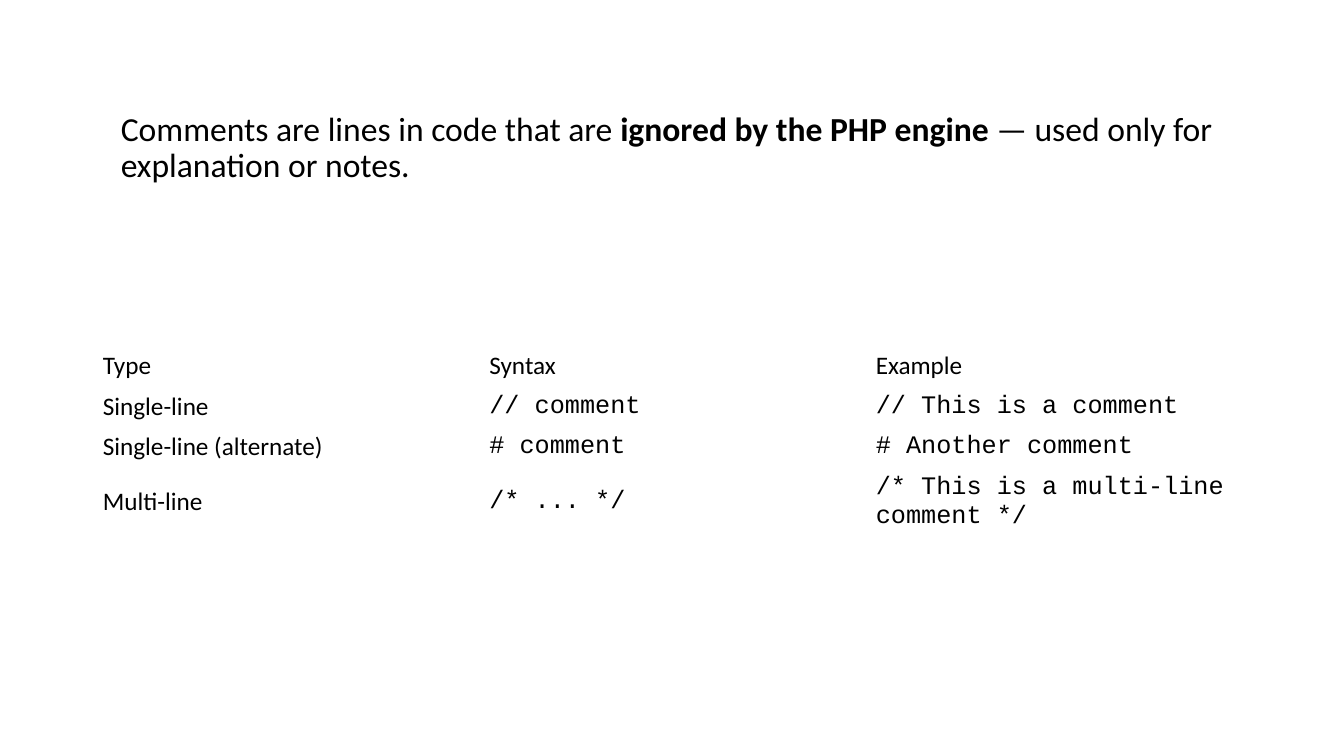
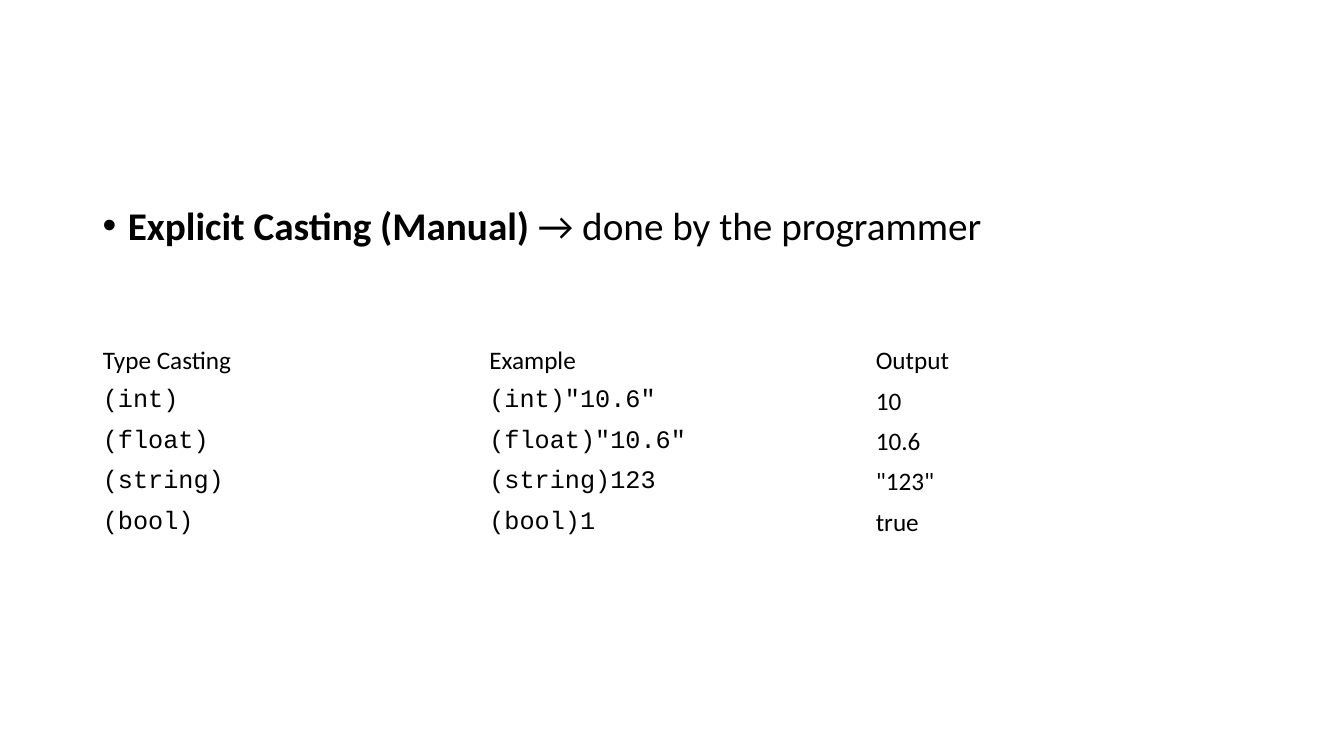
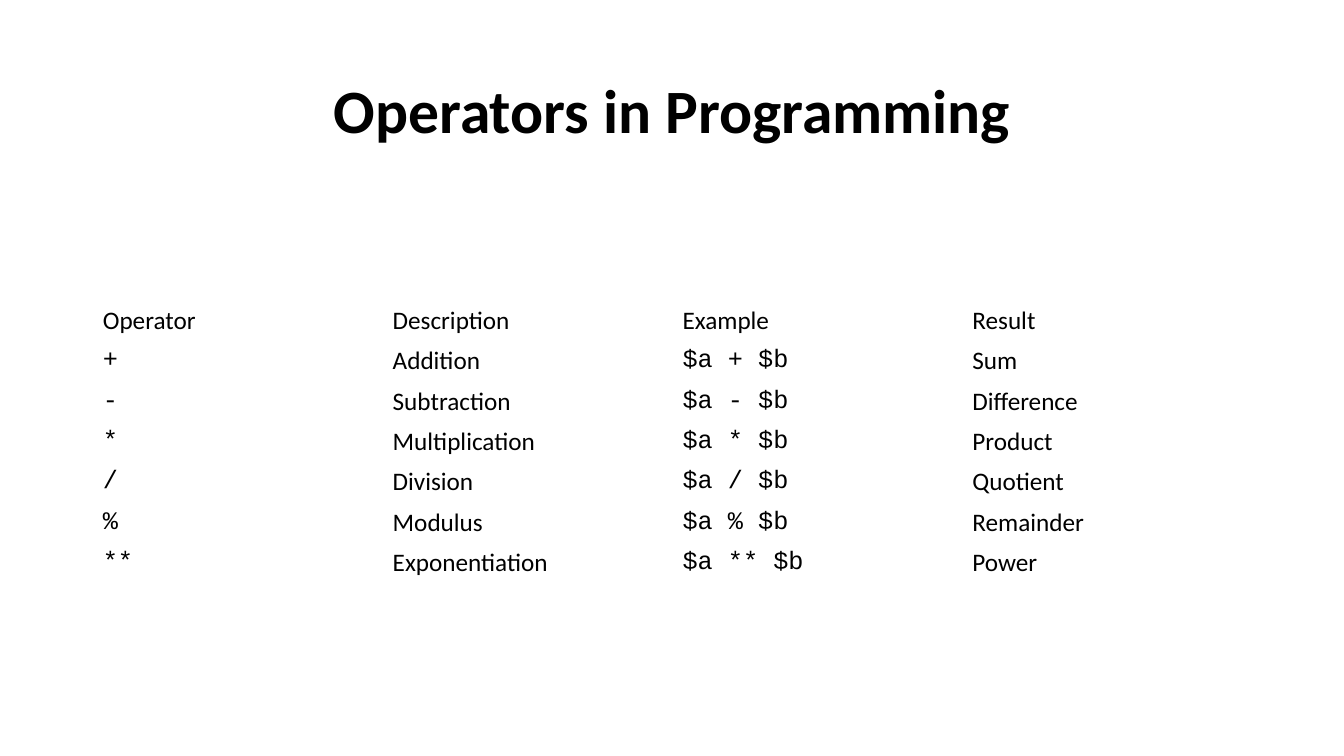
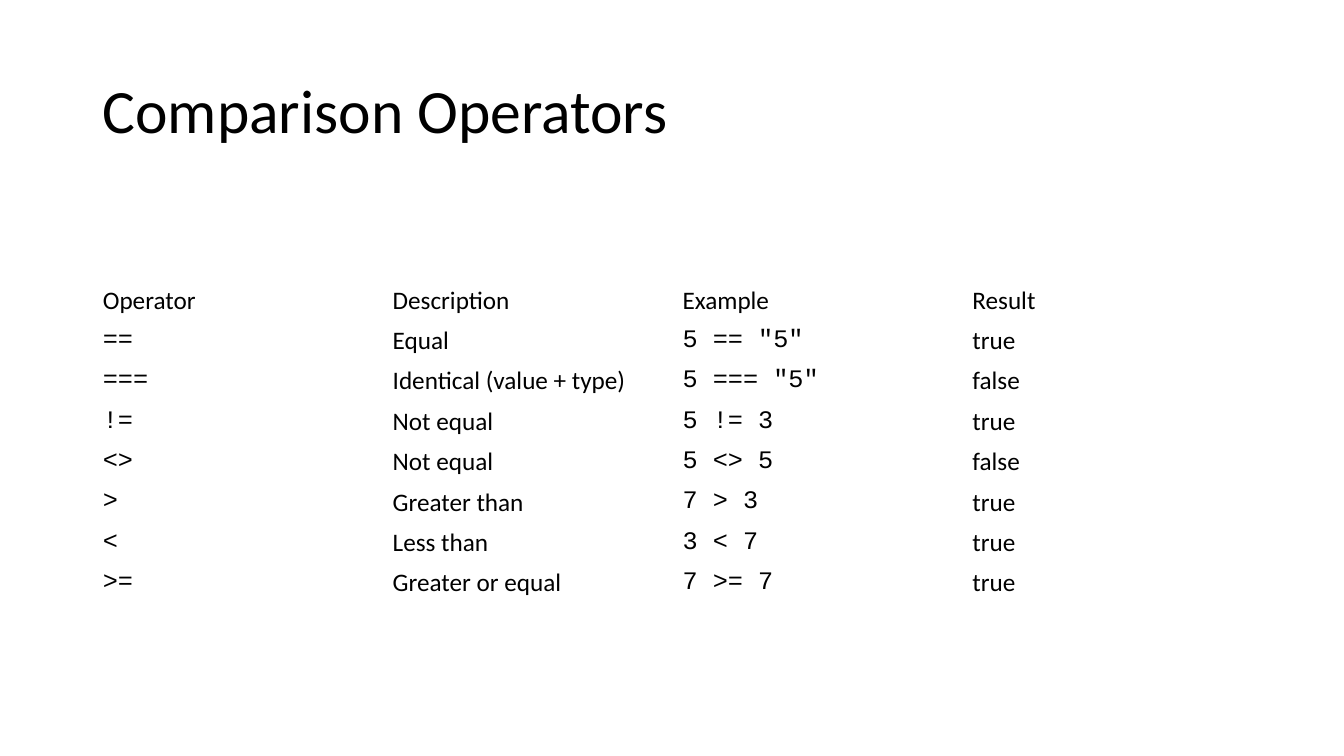
from lxml import etree
from pptx import Presentation
from pptx.dml.color import RGBColor
from pptx.enum.text import MSO_ANCHOR, PP_ALIGN
from pptx.oxml.ns import qn
from pptx.util import Inches, Pt

MID, TOP = MSO_ANCHOR.MIDDLE, MSO_ANCHOR.TOP
LEFT, MIDDLE = PP_ALIGN.LEFT, PP_ALIGN.CENTER
SANS, MONO = "Calibri", "Courier New"
INK = "000000"
EDGE, WIDE = 0.92, 11.5
ROW = 0.4
HEAD = (EDGE, 0.4, WIDE, 1.45)


def color(code):
    return RGBColor.from_string(code)


def style(font, size, face=SANS, bold=False):
    font.size, font.name, font.bold = Pt(size), face, bold
    font.color.rgb = color(INK)


def bullet(para, indent=0.25):
    props = para._p.get_or_add_pPr()
    props.set("marL", str(Inches(indent)))
    props.set("indent", str(-Inches(indent)))
    etree.SubElement(props, qn("a:buFont")).set("typeface", "Arial")
    etree.SubElement(props, qn("a:buChar")).set("char", "•")


def words(slide, box, parts, size, anchor=MID, align=LEFT, dot=False):
    """Place one paragraph made of (text, bold) parts in the box."""
    frame = slide.shapes.add_textbox(*map(Inches, box)).text_frame
    frame.word_wrap = True
    frame.vertical_anchor = anchor
    para = frame.paragraphs[0]
    para.alignment, para.line_spacing = align, 0.9
    if dot:
        bullet(para)
    for text, bold in parts:
        run = para.add_run()
        run.text = text
        style(run.font, size, bold=bold)


def grid(slide, top, rows, code):
    """Place a plain table; below its head, the code columns are monospaced."""
    count = len(rows[0])
    box = (EDGE, top, WIDE, ROW * len(rows))
    table = slide.shapes.add_table(len(rows), count, *map(Inches, box)).table
    table.first_row = table.horz_banding = False
    for r, row in enumerate(rows):
        for c, text in enumerate(row):
            cell = table.cell(r, c)
            cell.fill.background()
            cell.vertical_anchor = MID
            cell.text_frame.text = text
            face = MONO if r and c in code else SANS
            style(cell.text_frame.paragraphs[0].runs[0].font, 18, face)


def notes(slide):
    words(slide, (1.1, 0.75, WIDE, 1.45), [
        ("Comments are lines in code that are ", False),
        ("ignored by the PHP engine", True),
        (" — used only for explanation or notes.", False),
    ], 24)
    grid(slide, 3.43, [
        ("Type", "Syntax", "Example"),
        ("Single-line", "// comment", "// This is a comment"),
        ("Single-line (alternate)", "# comment", "# Another comment"),
        ("Multi-line", "/* ... */", "/* This is a multi-line comment */"),
    ], (1, 2))


def casts(slide):
    words(slide, (EDGE, 2, WIDE, 4.76), [
        ("Explicit Casting (Manual)", True),
        (" → done by the programmer", False),
    ], 28, TOP, dot=True)
    grid(slide, 3.38, [
        ("Type Casting", "Example", "Output"),
        ("(int)", '(int)"10.6"', "10"),
        ("(float)", '(float)"10.6"', "10.6"),
        ("(string)", "(string)123", '"123"'),
        ("(bool)", "(bool)1", "true"),
    ], (0, 1))


def signs(slide, title, top, rows, bold=False, align=LEFT):
    """Build a slide with a title and a table of operators."""
    words(slide, HEAD, [(title, bold)], 44, align=align)
    names = ("Operator", "Description", "Example", "Result")
    grid(slide, top, [names] + rows, (0, 2))


def sums(slide):
    kinds = [
        ("+", "Addition", "Sum"),
        ("-", "Subtraction", "Difference"),
        ("*", "Multiplication", "Product"),
        ("/", "Division", "Quotient"),
        ("%", "Modulus", "Remainder"),
        ("**", "Exponentiation", "Power"),
    ]
    rows = [(sign, name, f"$a {sign} $b", out) for sign, name, out in kinds]
    signs(slide, "Operators in Programming", 2.98, rows, True, MIDDLE)


def tests(slide):
    signs(slide, "Comparison Operators", 2.78, [
        ("==", "Equal", '5 == "5"', "true"),
        ("===", "Identical (value + type)", '5 === "5"', "false"),
        ("!=", "Not equal", "5 != 3", "true"),
        ("<>", "Not equal", "5 <> 5", "false"),
        (">", "Greater than", "7 > 3", "true"),
        ("<", "Less than", "3 < 7", "true"),
        (">=", "Greater or equal", "7 >= 7", "true"),
    ])


def main():
    deck = Presentation()
    deck.slide_width, deck.slide_height = Inches(13.33), Inches(7.5)
    blank = deck.slide_layouts[6]
    for build in (notes, casts, sums, tests):
        build(deck.slides.add_slide(blank))
    deck.save("out.pptx")


if __name__ == "__main__":
    main()
